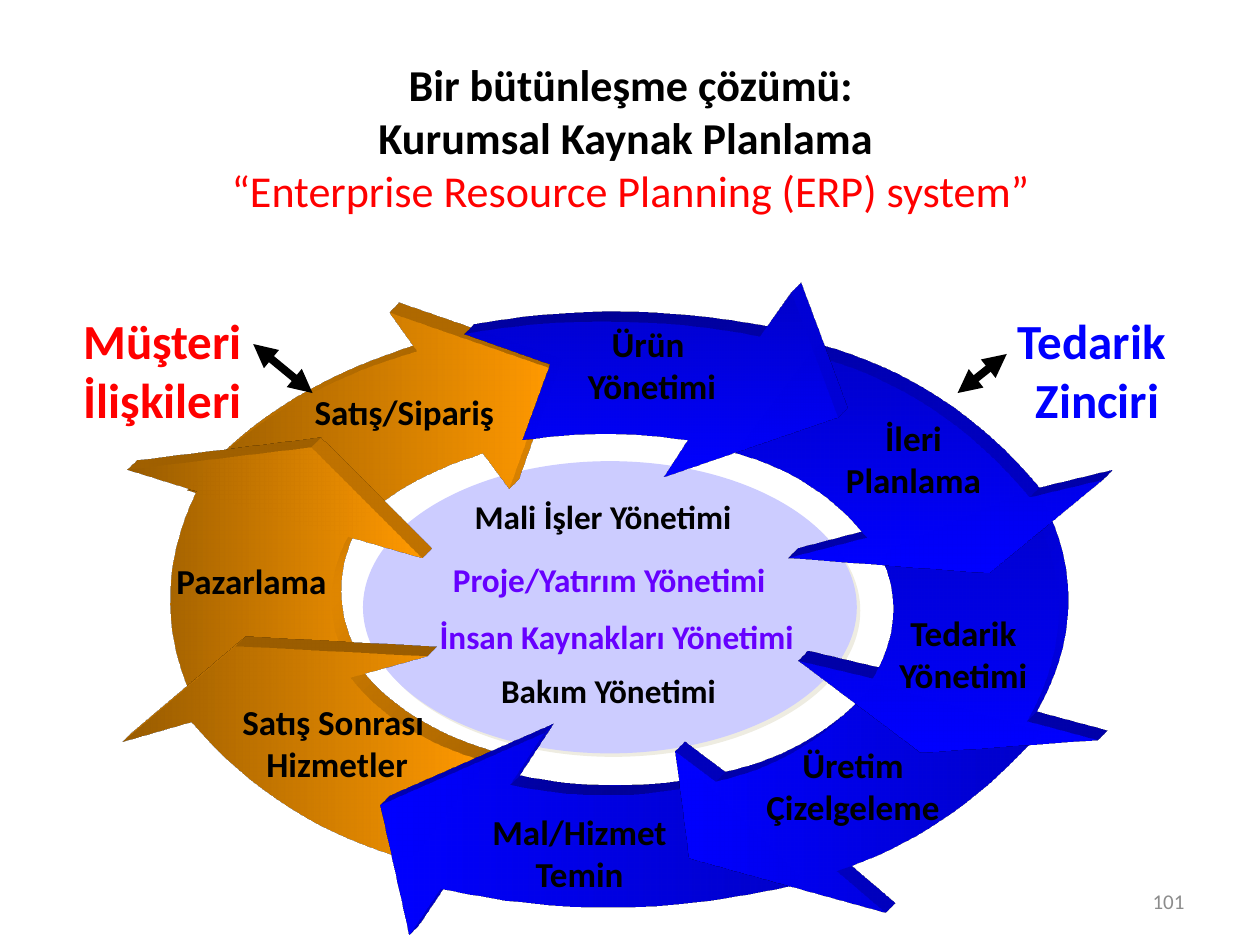
from dataclasses import dataclass

from lxml.etree import SubElement
from pptx import Presentation
from pptx.dml.color import RGBColor
from pptx.enum.dml import MSO_LINE_DASH_STYLE as Dash
from pptx.enum.shapes import MSO_CONNECTOR as Connector, MSO_SHAPE as Shape
from pptx.enum.text import MSO_ANCHOR as Anchor, MSO_AUTO_SIZE as AutoSize, PP_ALIGN as Align
from pptx.oxml.ns import qn
from pptx.util import Pt

FONT = "Calibri"
BLACK, RED, BLUE, PURPLE = "000000", "FF0000", "0000FF", "6600FF"
ORANGE, DARK_ORANGE, DARK_BLUE = "FF9900", "995C00", "0000CC"
STEPS = 16

Point = tuple[float, float]


@dataclass
class RingArrow:
    outer: list[Point]
    head: list[Point]
    inner: list[Point]
    colors: tuple[str, str]
    angle: int = 0
    notch: tuple[Point, ...] = ()


@dataclass
class Label:
    lines: list[str]
    left: float
    top: float
    width: float
    height: float
    size: float = 20
    color: str = BLACK
    bold: bool = True
    wrap: bool = False
    align: Align = Align.CENTER
    inset: Point = (9.4, 5)
    anchor: Anchor = Anchor.TOP


AMBER = (DARK_ORANGE, ORANGE)
NAVY = (BLUE, DARK_BLUE)
DEEP = (DARK_BLUE, BLUE)

ARROWS = [
    RingArrow([(107.3, 280.1), (162.7, 233.3), (238.3, 200.9)],
              [(222.5, 178.6), (315.4, 211), (290.9, 279.4)],
              [(275.8, 259.2), (229.7, 279.4), (198, 306.7)], AMBER),
    RingArrow([(115.2, 409.7), (97.2, 345.6), (112.3, 280.8)],
              [(72.7, 268.6), (177.8, 255.6), (241.2, 319)],
              [(198.7, 306.7), (189.4, 339.8), (195.8, 373)], AMBER),
    RingArrow([(234, 491), (165.6, 461.5), (109.4, 412.6)],
              [(69.8, 424.1), (134.6, 369.4), (244.1, 375.1)],
              [(200.2, 387.4), (231.8, 415.4), (276.5, 434.9)], AMBER),
    RingArrow([(451.4, 506.2), (350.6, 518.4), (252, 507.6)],
              [(234, 534.2), (217.4, 460.1), (311, 419)],
              [(291.6, 448.6), (342.7, 454.3), (394.6, 450)], NAVY),
    RingArrow([(589.7, 423.4), (537.8, 468.7), (478.1, 497.5)],
              [(506.2, 521.3), (393.8, 490.3), (385.9, 429.1)],
              [(409, 446.4), (455.8, 428.4), (494.6, 396)], NAVY),
    RingArrow([(586.1, 284.4), (604.8, 347.8), (586.8, 411.8)],
              [(627.1, 422.6), (526.3, 429.8), (456.5, 377.3)],
              [(499, 387.4), (510.5, 352.8), (504, 319)], DEEP, 270),
    RingArrow([(463, 202.3), (531.4, 232.6), (588.2, 283.7)],
              [(630, 273.6), (565.2, 326.9), (450.7, 318.2)],
              [(495.4, 306.7), (463, 277.2), (420.5, 258.5)], DEEP, 270),
    RingArrow([(265.7, 190.8), (349.2, 183.6), (434.2, 192.2)],
              [(452.2, 167), (478.8, 238.3), (379.4, 272.2)],
              [(393.1, 251.3), (346.3, 247.7), (298.8, 251.3)], DEEP, 270,
              ((314.6, 208.1),)),
]

LABELS = [
    Label(["Tedarik", "Yönetimi"], 499, 344.2, 103, 57.6),
    Label(["Üretim", "Çizelgeleme"], 420.5, 419.8, 133.9, 57.6),
    Label(["Mal/Hizmet", "Temin"], 270, 457.9, 122.4, 57.6),
    Label(["Satış Sonrası ", "Hizmetler"], 117.4, 395.3, 150.5, 57.6),
    Label(["Ürün ", "Yönetimi"], 321.1, 179.3, 103, 57.6),
    Label(["İleri", "Planlama"], 468.7, 233.3, 106.6, 57.6),
    Label(["Pazarlama"], 85, 314.6, 117.4, 33.8),
    Label(["Satış/Sipariş"], 162, 218.2, 138.2, 33.8),
    Label(["İnsan Kaynakları Yönetimi"], 224.6, 347, 255.6, 32.4, 19, PURPLE),
    Label(["Bakım Yönetimi"], 260.6, 378, 174.2, 32.4, 19, wrap=True),
    Label(["Proje/Yatırım Yönetimi"], 237.6, 314.6, 221, 32.4, 19, PURPLE),
    Label(["Tedarik ", "Zinciri"], 516.2, 174.2, 221.8, 74.2, 28, BLUE,
          wrap=True, inset=(7.2, 3.6)),
    Label(["Mali İşler Yönetimi"], 264.2, 280.1, 181.4, 30.2, 19,
          align=Align.LEFT, inset=(7.2, 3.6)),
    Label(["Müşteri", "İlişkileri"], -18, 174.2, 221.8, 74.2, 28, RED,
          wrap=True, inset=(7.2, 3.6)),
    Label(["101"], 516.2, 500.4, 167.8, 28.8, 12, "8C8C8C", False, True,
          Align.RIGHT, (7.2, 3.6), Anchor.MIDDLE),
]

LINKS = [((144.7, 196.6), (178.6, 224.6)), ((575.3, 202.3), (547.2, 224.6))]


def rgb(value: str) -> RGBColor:
    return RGBColor.from_string(value)


def add_node(parent, tag: str, **attributes: str):
    return SubElement(parent, qn(tag), attributes)


def arc(points: list[Point]) -> list[Point]:
    start, middle, end = points
    curve = []
    for step in range(STEPS + 1):
        t = step / STEPS
        weights = ((1 - t) * (1 - 2 * t), 4 * t * (1 - t), t * (2 * t - 1))
        curve.append(tuple(
            sum(w * p[axis] for w, p in zip(weights, (start, middle, end)))
            for axis in (0, 1)))
    return curve


def draw_arrow(page, arrow: RingArrow) -> None:
    outline = [(Pt(x), Pt(y)) for x, y in
               arc(arrow.outer) + arrow.head + arc(arrow.inner) + list(arrow.notch)]
    builder = page.shapes.build_freeform(*outline[0])
    builder.add_line_segments(outline[1:], close=True)
    shape = builder.convert_to_shape()
    shape.fill.gradient()
    shape.fill.gradient_angle = arrow.angle
    for position, (stop, color) in enumerate(zip(shape.fill.gradient_stops, arrow.colors)):
        stop.position = position
        stop.color.rgb = rgb(color)
    shape.line.fill.background()
    shape.shadow.inherit = False
    properties = shape.element.spPr
    scene = add_node(properties, "a:scene3d")
    add_node(scene, "a:camera", prst="legacyObliqueTopRight")
    add_node(scene, "a:lightRig", rig="legacyFlat3", dir="b")
    solid = add_node(properties, "a:sp3d", extrusionH="201600", prstMaterial="legacyMatte")
    extrusion = add_node(solid, "a:extrusionClr")
    add_node(extrusion, "a:srgbClr", val=ORANGE if arrow.colors == AMBER else BLUE)


def draw_label(page, label: Label) -> None:
    box = page.shapes.add_textbox(Pt(label.left), Pt(label.top), Pt(label.width), Pt(label.height))
    frame = box.text_frame
    frame.word_wrap = label.wrap
    frame.auto_size = AutoSize.SHAPE_TO_FIT_TEXT if label.anchor == Anchor.TOP else AutoSize.NONE
    frame.vertical_anchor = label.anchor
    frame.margin_left = frame.margin_right = Pt(label.inset[0])
    frame.margin_top = frame.margin_bottom = Pt(label.inset[1])
    frame.text = "\n".join(label.lines)
    for para in frame.paragraphs:
        para.alignment = label.align
        para.font.name = FONT
        para.font.size = Pt(label.size)
        para.font.bold = label.bold
        para.font.color.rgb = rgb(label.color)


def draw_link(page, start: Point, end: Point) -> None:
    link = page.shapes.add_connector(Connector.STRAIGHT, *map(Pt, start + end))
    link.line.color.rgb = rgb(BLACK)
    link.line.width = Pt(4.5)
    link.line.dash_style = Dash.SOLID
    line = link.line._get_or_add_ln()
    add_node(line, "a:headEnd", type="triangle")
    add_node(line, "a:tailEnd", type="triangle")
    add_node(link.element.spPr, "a:effectLst")


def draw_core(page) -> None:
    core = page.shapes.add_shape(Shape.OVAL, Pt(207.4), Pt(263.5), Pt(282.2), Pt(167))
    core.fill.solid()
    core.fill.fore_color.rgb = rgb("CCCCFF")
    core.line.fill.background()
    core.shadow.inherit = False
    effects = core.element.spPr.find(qn("a:effectLst"))
    shadow = add_node(effects, "a:outerShdw", dist=str(Pt(2.8)), dir="2700000",
                      algn="ctr", rotWithShape="0")
    add_node(shadow, "a:srgbClr", val="EEECE1")


def write_title(page) -> None:
    title = page.shapes.title
    title.left, title.top, title.width, title.height = map(Pt, (59.8, 36, 601.2, 84.2))
    frame = title.text_frame
    frame.word_wrap = True
    frame.auto_size = AutoSize.NONE
    frame.vertical_anchor = Anchor.MIDDLE
    para = frame.paragraphs[0]
    para.alignment = Align.CENTER
    para.font.name = FONT
    para.font.size = Pt(25.2)
    lines = [("Bir bütünleşme çözümü:", BLACK), ("Kurumsal Kaynak Planlama ", BLACK),
             ("“Enterprise Resource Planning (ERP) system”", RED)]
    for number, (text, color) in enumerate(lines):
        if number:
            para.add_line_break()
        span = para.add_run()
        span.text = text
        span.font.size = Pt(25.2)
        span.font.bold = color == BLACK
        span.font.color.rgb = rgb(color)


def main() -> None:
    deck = Presentation()
    deck.slide_width, deck.slide_height = Pt(720), Pt(540)
    page = deck.slides.add_slide(deck.slide_layouts[5])
    write_title(page)
    draw_core(page)
    for arrow in ARROWS:
        draw_arrow(page, arrow)
    for label in LABELS:
        draw_label(page, label)
    for start, end in LINKS:
        draw_link(page, start, end)
    deck.save("out.pptx")


if __name__ == "__main__":
    main()
